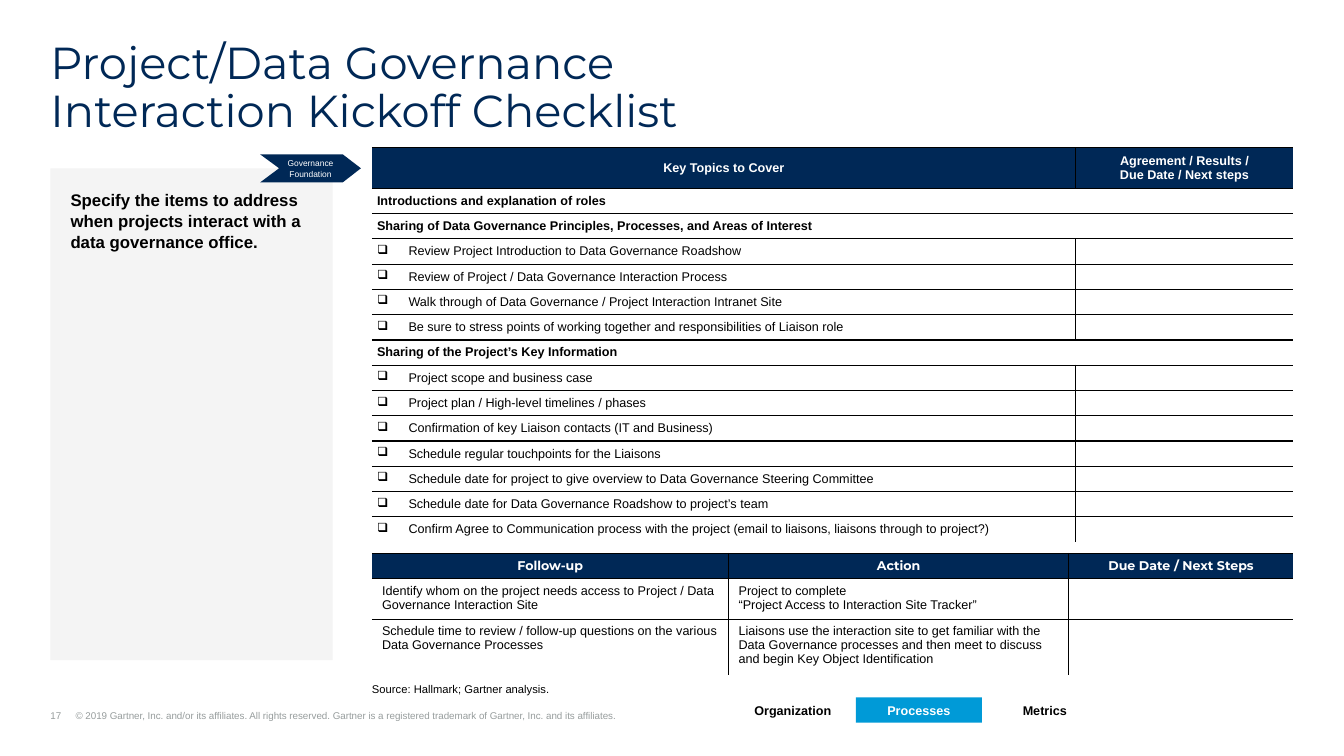
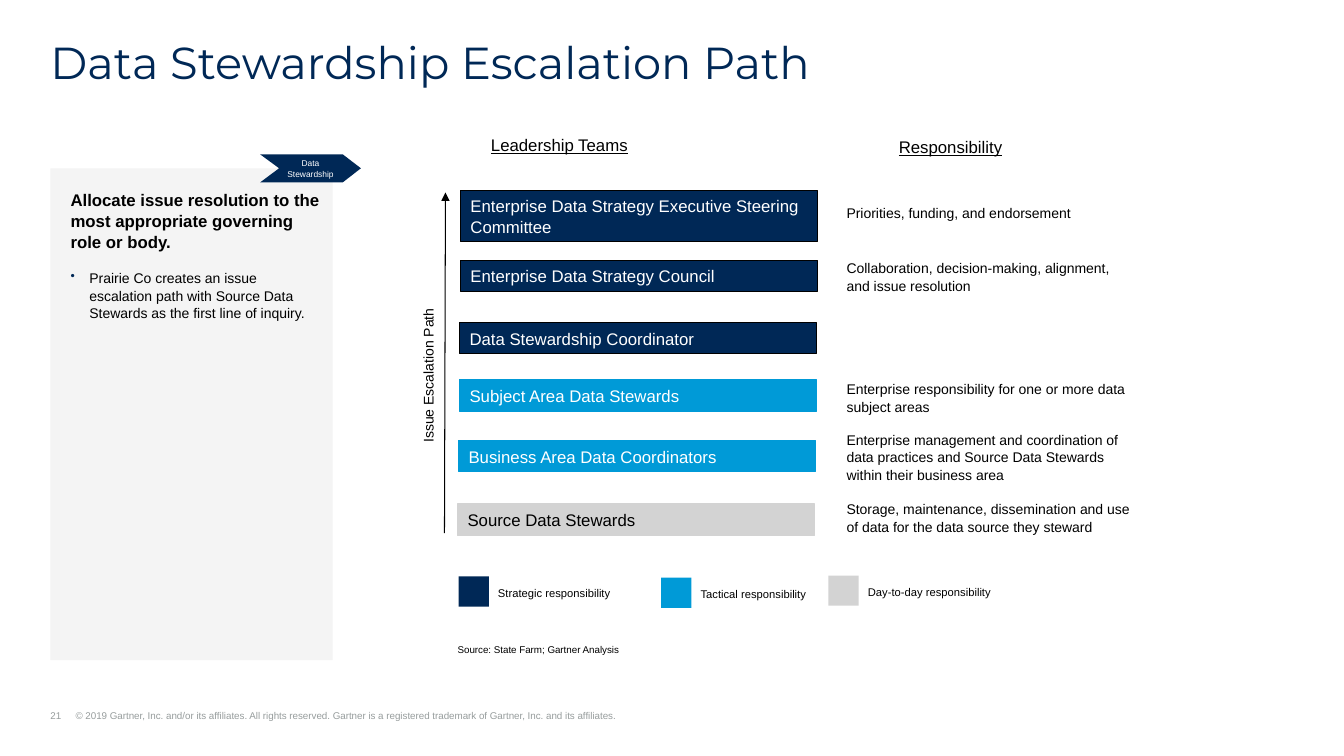
from dataclasses import dataclass
from lxml.etree import SubElement
from pptx import Presentation
from pptx.dml.color import RGBColor
from pptx.enum.shapes import MSO_CONNECTOR as Connector, MSO_SHAPE as Preset
from pptx.enum.text import MSO_ANCHOR as Anchor, PP_ALIGN as Align
from pptx.oxml.ns import qn
from pptx.util import Pt


@dataclass(frozen=True)
class Theme:
    navy: str = "002856"
    blue: str = "009AD7"
    silver: str = "D3D3D3"
    panel: str = "F4F4F4"
    muted: str = "979D9D"
    black: str = "000000"
    white: str = "FFFFFF"
    body: str = "Arial"
    display: str = "Montserrat"
    title_size: float = 32
    lead_size: float = 12
    text_size: float = 10
    table_size: float = 9
    label_size: float = 8
    footer_size: float = 7
    tag_size: float = 6
    leading: float = 1.05


THEME = Theme()
COPYRIGHT = (
    "© 2019 Gartner, Inc. and/or its affiliates. All rights reserved. "
    "Gartner is a registered trademark of Gartner, Inc. and its affiliates."
)
TAG_OUTLINE = [(185.8, 110.2), (244.8, 110.2), (257.8, 120.2),
               (244.8, 130.3), (185.8, 130.3), (199.4, 120.2)]

CHECKLIST_HEAD = ["Key Topics to Cover", "Agreement / Results /\nDue Date / Next steps"]
CHECKLIST = [
    ("Introductions and explanation of roles", []),
    ("Sharing of Data Governance Principles, Processes, and Areas of Interest", [
        "Review Project Introduction to Data Governance Roadshow",
        "Review of Project / Data Governance Interaction Process",
        "Walk through of Data Governance / Project Interaction Intranet Site",
        "Be sure to stress points of working together and responsibilities of Liaison role",
    ]),
    ("Sharing of the Project’s Key Information", [
        "Project scope and business case",
        "Project plan / High-level timelines / phases",
        "Confirmation of key Liaison contacts (IT and Business)",
        "Schedule regular touchpoints for the Liaisons",
        "Schedule date for project to give overview to Data Governance Steering Committee",
        "Schedule date for Data Governance Roadshow to project’s team",
        "Confirm Agree to Communication process with the project "
        "(email to liaisons, liaisons through to project?)",
    ]),
]
FOLLOW_UP = [
    ["Follow-up", "Action", "Due Date / Next Steps"],
    ["Identify whom on the project needs access to Project / Data Governance Interaction Site",
     "Project to complete\n“Project Access to Interaction Site Tracker”", ""],
    ["Schedule time to review / follow-up questions on the various Data Governance Processes",
     "Liaisons use the interaction site to get familiar with the Data Governance processes "
     "and then meet to discuss and begin Key Object Identification", ""],
]
SECTIONS = ["Organization", "Processes", "Metrics"]
CURRENT_SECTION = "Processes"

HEADINGS = [("Leadership Teams", 296.6, 92.2), ("Responsibility", 576, 93.6)]
STRATEGIC = (THEME.navy, THEME.black, THEME.white)
TACTICAL = (THEME.blue, THEME.blue, THEME.white)
DAILY = (THEME.silver, THEME.silver, THEME.black)
TEAMS = [
    ("Enterprise Data Strategy Executive Steering Committee", 329, 136, 36.7, STRATEGIC),
    ("Enterprise Data Strategy Council", 329, 185.8, 22.3, STRATEGIC),
    ("Data Stewardship Coordinator", 328.3, 230.4, 22.3, STRATEGIC),
    ("Subject Area Data Stewards", 328.3, 271.4, 22.3, TACTICAL),
    ("Business Area Data Coordinators", 327.6, 314.6, 22.3, TACTICAL),
    ("Source Data Stewards", 326.9, 360, 22.3, DAILY),
]
DUTIES = [
    ("Priorities, funding, and endorsement", 141.8, 1),
    ("Collaboration, decision-making, alignment, and issue resolution", 181.4, 2),
    ("Enterprise responsibility for one or more data subject areas", 267.8, 2),
    ("Enterprise management and coordination of data practices and Source Data Stewards "
     "within their business area", 303.8, 3),
    ("Storage, maintenance, dissemination and use of data for the data source they steward",
     353.5, 2),
]
LEGEND = [
    ("Strategic responsibility", THEME.navy, 327.6, 411.8),
    ("Tactical responsibility", THEME.blue, 472.3, 412.6),
    ("Day-to-day responsibility", THEME.silver, 591.8, 411.1),
]


def rgb(value):
    return RGBColor.from_string(value)


def hang(para, indent, bullet=None, bullet_color=None, bullet_percent=None):
    props = para._p.get_or_add_pPr()
    props.set("marL", str(Pt(indent)))
    props.set("indent", str(-Pt(indent)))
    if bullet_color:
        color = SubElement(props, qn("a:buClr"))
        SubElement(color, qn("a:srgbClr"), val=bullet_color)
    if bullet_percent:
        SubElement(props, qn("a:buSzPct"), val=str(bullet_percent * 1000))
    if bullet:
        SubElement(props, qn("a:buChar"), char=bullet)
    else:
        tabs = SubElement(props, qn("a:tabLst"))
        SubElement(tabs, qn("a:tab"), pos=str(Pt(indent)), algn="l")


def style(para, size, color=THEME.black, bold=False, font=THEME.body, align=Align.LEFT,
          leading=THEME.leading, underline=False, after=0):
    para.alignment = align
    para.line_spacing = leading
    para.space_before = Pt(0)
    para.space_after = Pt(after)
    para.font.size = Pt(size)
    para.font.name = font
    para.font.bold = bold
    para.font.underline = underline
    para.font.color.rgb = rgb(color)


def write(frame, text, size, insets=(7.2, 3.6, 7.2, 3.6), anchor=Anchor.TOP, wrap=True, **look):
    frame.word_wrap = wrap
    frame.vertical_anchor = anchor
    frame.margin_left, frame.margin_top, frame.margin_right, frame.margin_bottom = map(Pt, insets)
    frame.text = text
    for para in frame.paragraphs:
        style(para, size, **look)


def add_text(page, place, text, size, **look):
    box = page.shapes.add_textbox(*map(Pt, place))
    write(box.text_frame, text, size, **look)
    return box


def paint(shape, fill, line=None):
    shape.shadow.inherit = False
    shape.fill.solid()
    shape.fill.fore_color.rgb = rgb(fill)
    if line:
        shape.line.color.rgb = rgb(line)
        shape.line.width = Pt(0.75)
    else:
        shape.line.fill.background()


def add_block(page, place, fill, line=None):
    block = page.shapes.add_shape(Preset.RECTANGLE, *map(Pt, place))
    paint(block, fill, line)
    return block


def start_page(deck, title, number, tag, lead, point=None):
    page = deck.slides.add_slide(deck.slide_layouts[5])
    heading = page.shapes.title
    heading.left, heading.top, heading.width, heading.height = map(Pt, (36, 28.8, 888, 34.6))
    write(heading.text_frame, "", THEME.title_size, insets=(0, 0, 0, 0))
    para = heading.text_frame.paragraphs[0]
    para.text = title
    style(para, THEME.title_size, color=THEME.navy, font=THEME.display, leading=0.9)

    panel = add_block(page, (36, 120.2, 201.6, 351.4), THEME.panel)
    frame = panel.text_frame
    write(frame, lead, THEME.lead_size, insets=(14.4, 14.4, 7.2, 14.4), bold=True, after=12)
    if point:
        para = frame.add_paragraph()
        para.text = point
        hang(para, 13.5, "•", THEME.navy, 90)
        style(para, THEME.text_size, after=12)

    points = [(Pt(x), Pt(y)) for x, y in TAG_OUTLINE]
    builder = page.shapes.build_freeform(*points[0], scale=1.0)
    builder.add_line_segments(points[1:], close=True)
    arrow = builder.convert_to_shape()
    paint(arrow, THEME.navy)
    write(arrow.text_frame, tag, THEME.tag_size, anchor=Anchor.MIDDLE,
          color=THEME.white, align=Align.CENTER)

    footer = add_text(page, (36, 507, 575, 8.6), "", THEME.footer_size,
                      insets=(0, 0, 0, 0), anchor=Anchor.BOTTOM)
    para = footer.text_frame.paragraphs[0]
    para.text = f"{number}\t{COPYRIGHT}"
    hang(para, 18)
    style(para, THEME.footer_size, color=THEME.muted, leading=1.0)
    return page


def set_borders(cell, visible):
    props = cell._tc.get_or_add_tcPr()
    for position, (side, shown) in enumerate(visible.items()):
        line = props.makeelement(qn(f"a:ln{side}"), {"w": str(Pt(1))})
        props.insert(position, line)
        if shown:
            fill = SubElement(line, qn("a:solidFill"))
            SubElement(fill, qn("a:srgbClr"), val=THEME.black)
        else:
            SubElement(line, qn("a:noFill"))


def add_grid(page, left, top, widths, heights, rows, head_font, inset, anchor,
             sections=(), bullet=None):
    place = (left, top, sum(widths), sum(heights))
    table = page.shapes.add_table(len(rows), len(widths), *map(Pt, place)).table
    for column, width in zip(table.columns, widths):
        column.width = Pt(width)
    for r, (row, height) in enumerate(zip(rows, heights)):
        table.rows[r].height = Pt(height)
        head, section = r == 0, r in sections
        for c, text in enumerate(row):
            cell = table.cell(r, c)
            cell.margin_left = cell.margin_right = Pt(inset)
            cell.margin_top = cell.margin_bottom = Pt(3.6)
            cell.vertical_anchor = anchor
            if head:
                cell.fill.solid()
                cell.fill.fore_color.rgb = rgb(THEME.navy)
            else:
                cell.fill.background()
            set_borders(cell, {"L": c > 0 and not section,
                               "R": c < len(row) - 1 and not section,
                               "T": True, "B": r < len(rows) - 1})
            cell.text_frame.text = text
            for para in cell.text_frame.paragraphs:
                if bullet and text and not head and not section:
                    hang(para, 22.5, bullet)
                style(para, THEME.table_size, leading=1.0, bold=head or section,
                      color=THEME.white if head else THEME.black,
                      font=head_font if head else THEME.body,
                      align=Align.CENTER if head else Align.LEFT)
                if not text:
                    para._p.get_or_add_endParaRPr().set("sz", str(int(THEME.table_size * 100)))
        if section:
            table.cell(r, 0).merge(table.cell(r, len(row) - 1))


def build_checklist(deck):
    page = start_page(
        deck, "Project/Data Governance\nInteraction Kickoff Checklist", 17,
        "Governance\nFoundation",
        "Specify the items to address when projects interact with a data governance office.")
    rows, sections = [CHECKLIST_HEAD], []
    for section, topics in CHECKLIST:
        sections.append(len(rows))
        rows += [[text, ""] for text in (section, *topics)]
    add_grid(page, 265.7, 105.6, (502.6, 155.5), [28.8] + [18] * (len(rows) - 1), rows,
             THEME.body, 3.6, Anchor.MIDDLE, sections, "❑")
    add_grid(page, 265.7, 395.3, (254.7, 243, 160.4), (18, 28, 38), FOLLOW_UP,
             THEME.display, 7.2, Anchor.TOP)
    add_text(page, (265.7, 484.6, 375, 14.4), "Source: Hallmark; Gartner analysis.",
             THEME.label_size, insets=(0, 0, 0, 0), leading=Pt(12.4))
    for index, name in enumerate(SECTIONS):
        place = (521.3 + index * 90, 498.2, 90, 18)
        look = dict(bold=True, align=Align.CENTER, anchor=Anchor.MIDDLE)
        if name == CURRENT_SECTION:
            block = add_block(page, place, THEME.blue)
            write(block.text_frame, name, THEME.table_size, color=THEME.white, **look)
        else:
            add_text(page, place, name, THEME.table_size, **look)


def build_escalation(deck):
    page = start_page(
        deck, "Data Stewardship Escalation Path", 21, "Data\nStewardship",
        "Allocate issue resolution to the most appropriate governing role or body.",
        "Prairie Co creates an issue escalation path with Source Data Stewards "
        "as the first line of inquiry.")
    for text, left, top in HEADINGS:
        add_text(page, (left, top, 206, 21.6), text, THEME.lead_size,
                 align=Align.CENTER, underline=True)
    for text, left, top, height, (fill, line, color) in TEAMS:
        bar = add_block(page, (left, top, 254.9, height), fill, line)
        write(bar.text_frame, text, THEME.lead_size, anchor=Anchor.MIDDLE, color=color)
    for text, top, lines in DUTIES:
        add_text(page, (597.6, top, 219.6, 7.2 + 12 * lines), text, THEME.text_size)
    for text, fill, left, top in LEGEND:
        add_block(page, (left, top, 21.6, 21.6), fill)
        add_text(page, (left + 21, top + 3, 140, 16.6), text, THEME.label_size)

    arrow = page.shapes.add_connector(
        Connector.STRAIGHT, *map(Pt, (317.5, 380.9, 318.2, 137.5)))
    arrow.line.color.rgb = rgb(THEME.black)
    arrow.line.width = Pt(0.75)
    SubElement(arrow.line._get_or_add_ln(), qn("a:tailEnd"), type="triangle")
    SubElement(arrow._element.spPr, qn("a:effectLst"))
    label = add_text(page, (202.3, 258.5, 206, 19.4), "Issue Escalation Path",
                     THEME.text_size, align=Align.CENTER)
    label.rotation = 270
    add_text(page, (326.9, 459.4, 138.2, 8.6), "Source: State Farm; Gartner Analysis",
             THEME.footer_size, insets=(0, 0, 0, 0), wrap=False)


def main():
    deck = Presentation()
    deck.slide_width, deck.slide_height = Pt(960), Pt(540)
    build_checklist(deck)
    build_escalation(deck)
    deck.save("out.pptx")


if __name__ == "__main__":
    main()
